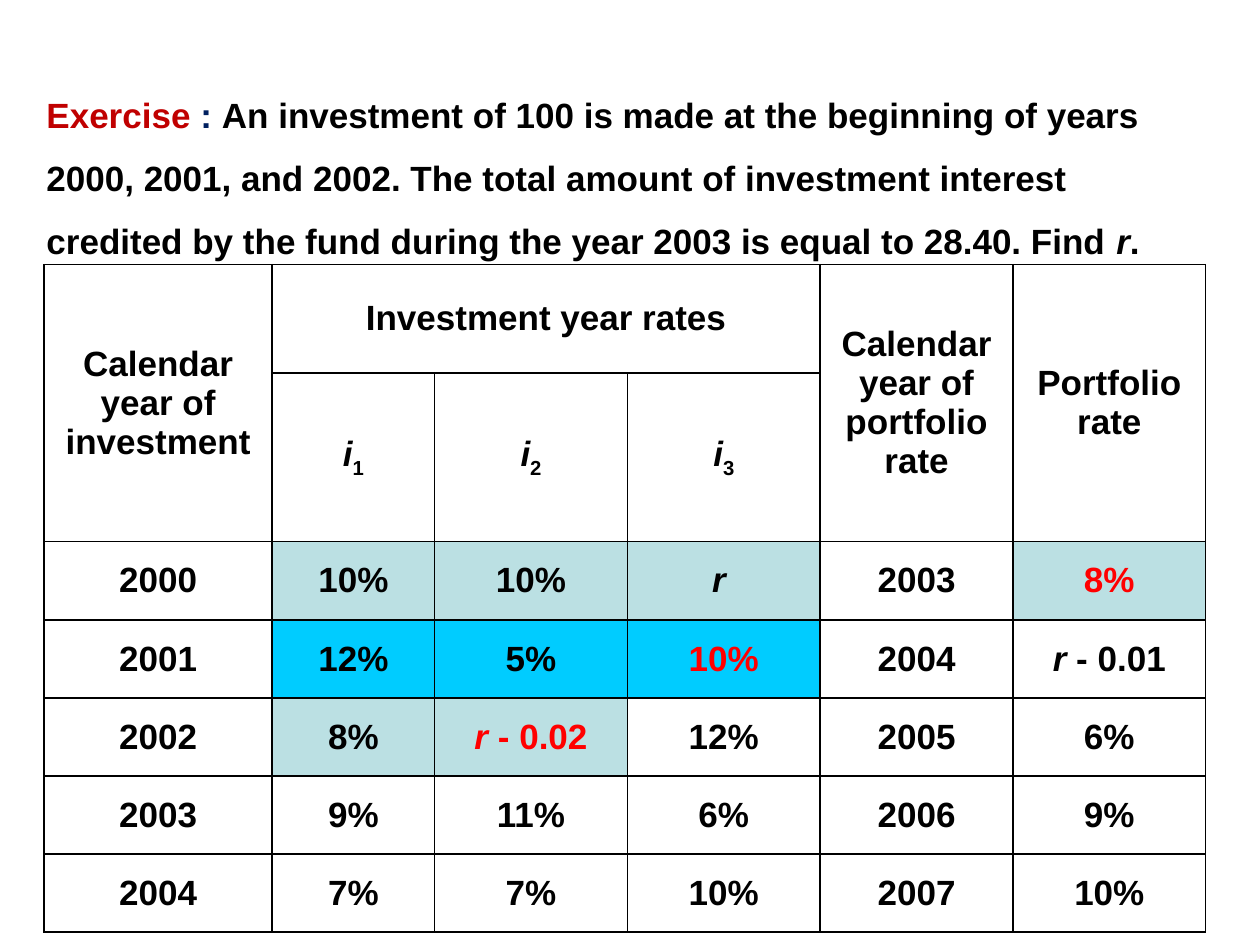
from lxml import etree
from pptx import Presentation, util as u
from pptx.dml.color import RGBColor
from pptx.enum import text
from pptx.oxml import parse_xml
from pptx.oxml.ns import nsdecls

BLACK, RED, PALE, CYAN, WHITE = "000000", "FF0000", "BBE0E3", "00CCFF", "FFFFFF"


def add_runs(p, marked, color=BLACK):
    """Split at "|" into runs; a leading "/" means italic and "_" subscript."""
    for part in marked.split("|"):
        r = p.add_run()
        r.text = part.lstrip("/_")
        fmt = {"name": "Arial", "size": u.Pt(20), "bold": True, "italic": part[0] == "/"}
        for key, value in fmt.items():
            setattr(r.font, key, value)
        r.font.color.rgb = RGBColor.from_string(color)
        if part[0] == "_":
            r.font._element.set("baseline", "-25000")


def add_borders(cell):
    tcPr = cell._tc.get_or_add_tcPr()
    for side in "LRTB":
        tcPr.append(parse_xml(
            f'<a:ln{side} {nsdecls("a")} w="12700"><a:solidFill>'
            f'<a:srgbClr val="{BLACK}"/></a:solidFill></a:ln{side}>'))


prs = Presentation()
prs.slide_width, prs.slide_height = u.Inches(10), u.Inches(7.5)
s = prs.slides.add_slide(prs.slide_layouts[6])

# Rates table
rows = [
    ["Calendar year of investment", "Investment year rates", "", "",
     "Calendar year of portfolio rate", "Portfolio rate"],
    ["", "/i|_1", "/i|_2", "/i|_3", "", ""],
    ["2000", "10%", "10%", "/r ", "2003", "8%"],
    ["2001", "12%", "5%", "10%", "2004", "/r |- 0.01"],
    ["2002", "8%", "/r |- 0.02", "12%", "2005", "6%"],
    ["2003", "9%", "11%", "6%", "2006", "9%"],
    ["2004", "7%", "7%", "10%", "2007", "10%"],
]
fills = {(2, 1): PALE, (2, 2): PALE, (2, 3): PALE, (2, 5): PALE,
         (3, 1): CYAN, (3, 2): CYAN, (3, 3): CYAN,
         (4, 1): PALE, (4, 2): PALE}
red_cells = {(2, 5), (3, 3), (4, 2)}
col_widths = [1.81, 1.29] + [1.53] * 4
row_heights = [0.86, 1.17] + [0.62] * 5

table = s.shapes.add_table(
    len(rows), len(col_widths), u.Inches(0.35), u.Inches(2.1),
    u.Inches(sum(col_widths)), u.Inches(sum(row_heights))).table
table.first_row = table.horz_banding = False
for col, width in zip(table.columns, col_widths):
    col.width = u.Inches(width)
for row, height in zip(table.rows, row_heights):
    row.height = u.Inches(height)

for i, row in enumerate(rows):
    for j, content in enumerate(row):
        cell = table.cell(i, j)
        add_borders(cell)
        cell.fill.solid()
        cell.fill.fore_color.rgb = RGBColor.from_string(fills.get((i, j), WHITE))
        cell.vertical_anchor = text.MSO_ANCHOR.MIDDLE
        p = cell.text_frame.paragraphs[0]
        p.alignment = text.PP_ALIGN.CENTER
        if content:
            add_runs(p, content, RED if (i, j) in red_cells else BLACK)

table.cell(0, 1).merge(table.cell(0, 3))
for j in (0, 4, 5):
    table.cell(0, j).merge(table.cell(1, j))

# Exercise statement
tf = s.shapes.add_textbox(u.Inches(0.27), u.Inches(0.53),
                          u.Inches(9.45), u.Inches(1.51)).text_frame
tf.word_wrap = True
p = tf.paragraphs[0]
p.line_spacing = 1.5
add_runs(p, "Exercise ", "C00000")
add_runs(p, ": ", "002060")
add_runs(p, "An investment of 100 is made at the beginning of years 2000, 2001, and 2002. "
            "The total amount of investment interest credited by the fund during the year "
            "2003 is equal to 28.40. Find |/r|.")

prs.save("out.pptx")
